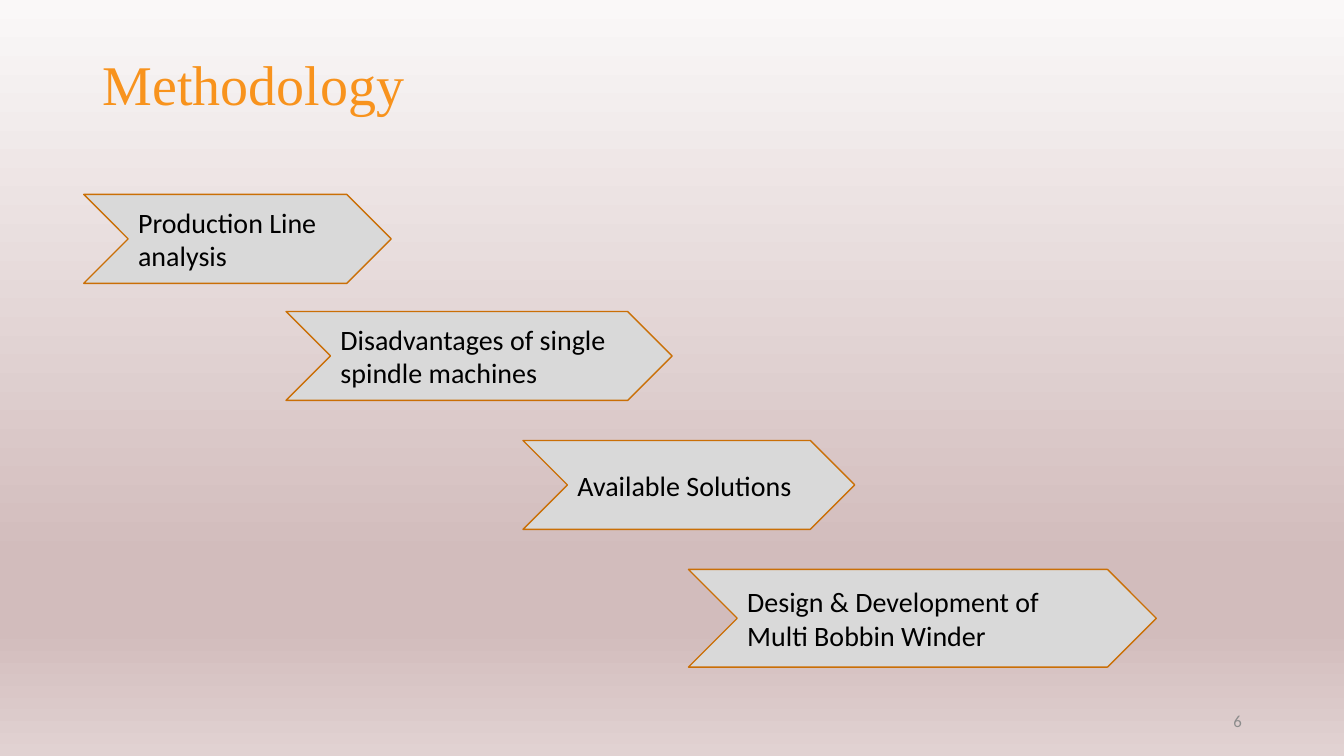
from typing import NamedTuple

from lxml import etree
from pptx import Presentation
from pptx.dml.color import RGBColor
from pptx.enum.shapes import MSO_SHAPE
from pptx.enum.text import MSO_ANCHOR, PP_ALIGN
from pptx.oxml.ns import qn
from pptx.shapes.autoshape import Shape
from pptx.slide import Slide
from pptx.util import Cm, Pt

CHEVRON = MSO_SHAPE.CHEVRON
MIDDLE = MSO_ANCHOR.MIDDLE
LEFT, RIGHT = PP_ALIGN.LEFT, PP_ALIGN.RIGHT

ORANGE, RUST = "F8931D", "CA6F06"
SILVER, GRAY, BLACK = "D9D9D9", "8C8C8C", "000000"
STOPS = [(0, "FAF8F8"), (74, "D2BCBC"), (83, "D2BCBC"), (100, "E1D2D2")]


class Box(NamedTuple):
    left: float
    top: float
    width: float
    height: float

    def place(self) -> list[Cm]:
        return [Cm(side) for side in self]


class Step(NamedTuple):
    text: str
    box: Box


STEPS = [
    Step("Production Line analysis", Box(2.11, 4.9, 7.75, 2.24)),
    Step("Disadvantages of single spindle machines", Box(7.21, 7.85, 9.73, 2.24)),
    Step("Available Solutions", Box(13.18, 11.1, 8.36, 2.24)),
    Step("Design & Development of Multi Bobbin Winder", Box(17.35, 14.35, 11.79, 2.46)),
]


def color(code: str) -> RGBColor:
    return RGBColor.from_string(code)


def write(shape: Shape, text: str, *, size: float, ink: str, font: str = "Calibri",
          align: PP_ALIGN = LEFT, spacing: float = 1.0) -> None:
    frame = shape.text_frame
    frame.word_wrap = True
    frame.vertical_anchor = MIDDLE
    line = frame.paragraphs[0]
    line.alignment = align
    line.line_spacing = spacing
    run = line.add_run()
    run.text = text
    run.font.name = font
    run.font.size = Pt(size)
    run.font.color.rgb = color(ink)


def shade(slide: Slide) -> None:
    """Fill the background from top to bottom with the colours of STOPS."""
    fill = slide.background.fill
    fill.gradient()
    fill.gradient_angle = 270
    stops = slide.element.find(f".//{qn('a:gsLst')}")
    for old in list(stops):
        stops.remove(old)
    for percent, code in STOPS:
        stop = etree.SubElement(stops, qn("a:gs"), pos=str(percent * 1000))
        etree.SubElement(stop, qn("a:srgbClr"), val=code)


def draw_step(slide: Slide, step: Step) -> None:
    arrow = slide.shapes.add_shape(CHEVRON, *step.box.place())
    arrow.shadow.inherit = False
    arrow.adjustments[0] = 0.5
    arrow.fill.solid()
    arrow.fill.fore_color.rgb = color(SILVER)
    arrow.line.color.rgb = color(RUST)
    arrow.line.width = Pt(1)
    frame = arrow.text_frame
    frame.margin_left = frame.margin_right = Cm(0.25)
    frame.margin_top = frame.margin_bottom = Cm(0.25)
    write(arrow, step.text, size=20, ink=BLACK)


def main() -> None:
    deck = Presentation()
    deck.slide_width, deck.slide_height = Cm(33.87), Cm(19.05)
    slide = deck.slides.add_slide(deck.slide_layouts[6])
    shade(slide)

    title = slide.shapes.add_textbox(*Box(2.34, 0.97, 29.21, 2.46).place())
    write(title, "Methodology", size=40, ink=ORANGE, font="Times New Roman", spacing=0.9)
    number = slide.shapes.add_textbox(*Box(23.93, 17.65, 7.62, 1.02).place())
    write(number, "6", size=12, ink=GRAY, align=RIGHT)

    for step in STEPS:
        draw_step(slide, step)
    deck.save("out.pptx")


if __name__ == "__main__":
    main()
